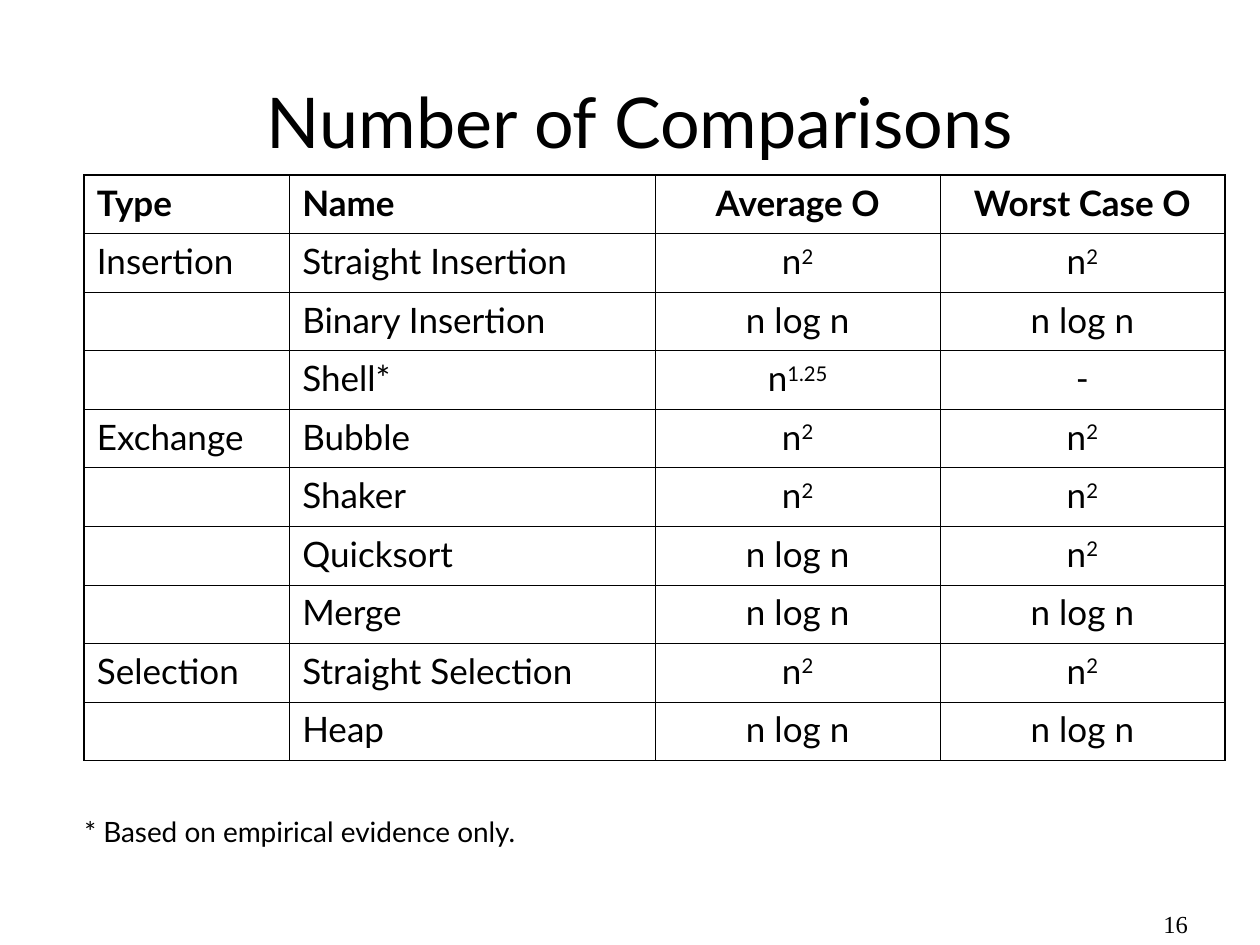
from dataclasses import dataclass

from lxml.etree import SubElement
from pptx import Presentation
from pptx.dml.color import RGBColor
from pptx.enum.text import MSO_ANCHOR, PP_ALIGN
from pptx.oxml.ns import qn
from pptx.util import Cm, Pt


@dataclass(frozen=True)
class Theme:
    ink: str = "000000"
    font: str = "Lato"
    number_font: str = "Times New Roman"
    title_size: int = 40
    table_size: int = 20
    note_size: int = 16
    number_size: int = 14
    outer_line: float = 1.08
    inner_line: float = 0.45


class SlideBuilder:
    def __init__(self, prs, theme):
        self.theme = theme
        self.s = prs.slides.add_slide(prs.slide_layouts[5])

    def style(self, p, size, align=PP_ALIGN.LEFT, font=None, bold=False):
        p.alignment = align
        p.font.name = font or self.theme.font
        p.font.size = Pt(size)
        p.font.bold = bold
        p.font.color.rgb = RGBColor.from_string(self.theme.ink)

    def title(self, text, left, top, width, height):
        sp = self.s.shapes.title
        sp.left, sp.top, sp.width, sp.height = map(Cm, (left, top, width, height))
        tf = sp.text_frame
        tf.text = text
        tf.vertical_anchor = MSO_ANCHOR.MIDDLE
        self.style(tf.paragraphs[0], self.theme.title_size, PP_ALIGN.CENTER)

    def text(self, text, box, size, spacing, margins=(0, 0), **look):
        tf = self.s.shapes.add_textbox(*map(Cm, box)).text_frame
        tf.word_wrap = True
        tf.margin_left = tf.margin_right = Cm(margins[0])
        tf.margin_top = tf.margin_bottom = Cm(margins[1])
        p = tf.paragraphs[0]
        p.text = text
        p.line_spacing = spacing
        self.style(p, size, **look)

    def border(self, cell, side, width):
        ln = SubElement(cell._tc.get_or_add_tcPr(), qn(f"a:ln{side}"), w=str(Pt(width)))
        fill = SubElement(ln, qn("a:solidFill"))
        SubElement(fill, qn("a:srgbClr"), val=self.theme.ink)

    def cell(self, cell, text, align, bold, outer_sides):
        p = cell.text_frame.paragraphs[0]
        base, _, power = text.partition("^")
        if base:
            p.add_run().text = base
        if power:
            r = p.add_run()
            r.text = power
            r._r.get_or_add_rPr().set("baseline", "30000")
        self.style(p, self.theme.table_size, align, bold=bold)
        for side in "LRTB":
            outer = side in outer_sides
            self.border(cell, side, self.theme.outer_line if outer else self.theme.inner_line)
        cell.fill.background()

    def table(self, rows, left, top, widths, row_height, aligns):
        frame = self.s.shapes.add_table(
            len(rows), len(widths), Cm(left), Cm(top),
            Cm(sum(widths)), Cm(row_height * len(rows)))
        table = frame.table
        table.first_row = table.horz_banding = False
        for column, width in zip(table.columns, widths):
            column.width = Cm(width)
        last_row, last_col = len(rows) - 1, len(widths) - 1
        for i, values in enumerate(rows):
            table.rows[i].height = Cm(row_height)
            for j, value in enumerate(values):
                edges = {"L": j == 0, "R": j == last_col, "T": i == 0, "B": i == last_row}
                outer_sides = [side for side, on_edge in edges.items() if on_edge]
                self.cell(table.cell(i, j), value, aligns[j], i == 0, outer_sides)


COMPARISONS = [
    ("Type", "Name", "Average O", "Worst Case O"),
    ("Insertion", "Straight Insertion", "n^2", "n^2"),
    ("", "Binary Insertion", "n log n", "n log n"),
    ("", "Shell*", "n^1.25", "-"),
    ("Exchange", "Bubble", "n^2", "n^2"),
    ("", "Shaker", "n^2", "n^2"),
    ("", "Quicksort", "n log n", "n^2"),
    ("", "Merge", "n log n", "n log n"),
    ("Selection", "Straight Selection", "n^2", "n^2"),
    ("", "Heap", "n log n", "n log n"),
]


def main():
    prs = Presentation()
    prs.slide_width, prs.slide_height = Cm(25.4), Cm(19.05)
    theme = Theme()
    slide = SlideBuilder(prs, theme)
    slide.title("Number of Comparisons", 2.1, 1.52, 21.6, 1.8)
    slide.table(COMPARISONS, 1.7, 3.53, (4.14, 7.37, 5.74, 5.74), 1.18,
                (PP_ALIGN.LEFT, PP_ALIGN.LEFT, PP_ALIGN.CENTER, PP_ALIGN.CENTER))
    slide.text("16", (21.95, 18.34, 3.5, 0.71), theme.number_size, 0.75, (0.25, 0.13),
               align=PP_ALIGN.CENTER, font=theme.number_font)
    slide.text("* Based on empirical evidence only.", (1.7, 16.53, 14.4, 0.58),
               theme.note_size, 0.85)
    prs.save("out.pptx")


if __name__ == "__main__":
    main()
